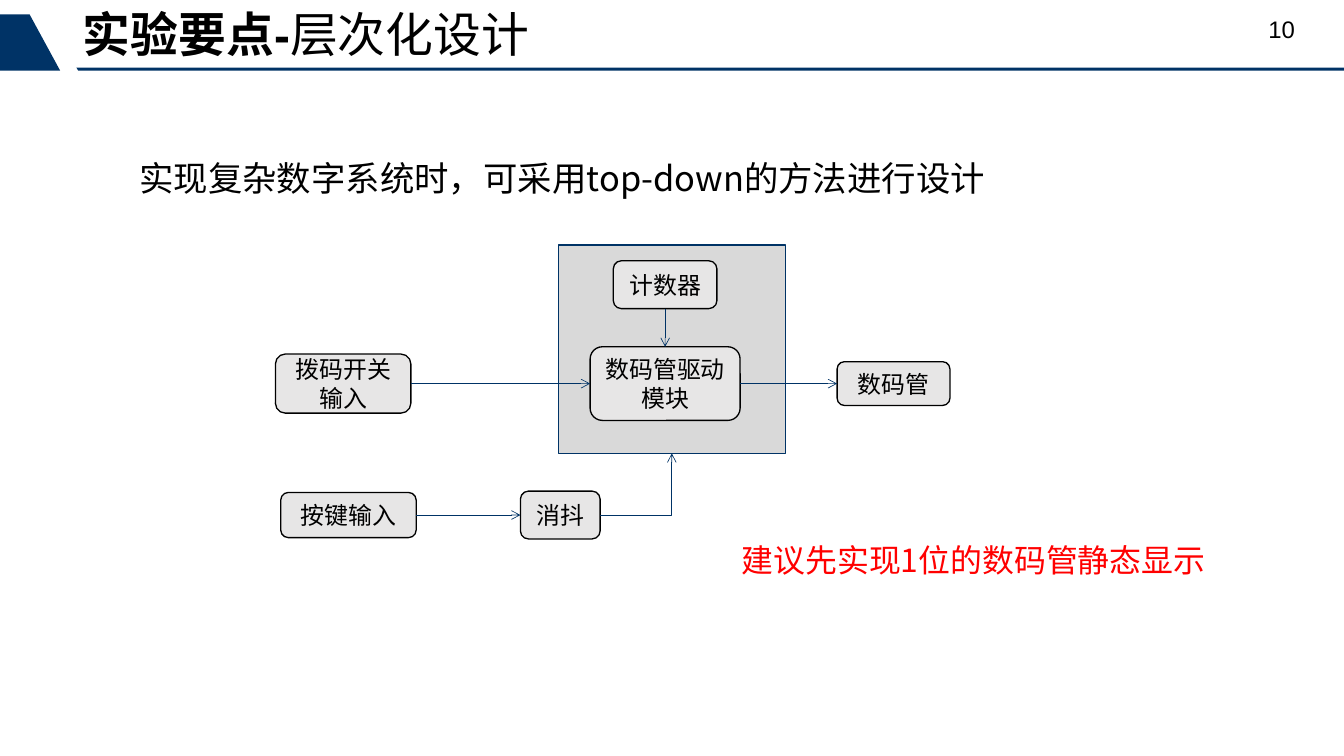
import pptx
import pptx.util
import pptx.dml.color
import pptx.enum.shapes
import pptx.enum.text
import pptx.oxml
import pptx.oxml.ns
import lxml.etree

Pt = pptx.util.Pt
SHAPES = pptx.enum.shapes.MSO_SHAPE
CONNECTORS = pptx.enum.shapes.MSO_CONNECTOR
ANCHOR = pptx.enum.text.MSO_ANCHOR
ALIGN = pptx.enum.text.PP_ALIGN
COLORS = {"navy": "003366", "panel": "D9D9D9", "node": "E7E6E6",
          "text": "000000", "hint": "FF0000"}
TOP, LEFT, BOTTOM, RIGHT = range(4)
WIDTH, HEIGHT = 1012.32, 569.52


class DiagramSlide:
    """Draws the styled elements of the hierarchical design slide."""

    latin = "Arial"
    chinese = "Noto Sans CJK SC"

    def __init__(self, slide):
        self.slide = slide
        self.shapes = slide.shapes

    def color(self, name):
        return pptx.dml.color.RGBColor.from_string(COLORS[name])

    def style_run(self, run, size, font, color="text", bold=False):
        run.font.size = Pt(size)
        run.font.name = font
        run.font.bold = bold
        run.font.color.rgb = self.color(color)
        properties = run.font._element
        east_asian = lxml.etree.SubElement(properties, pptx.oxml.ns.qn("a:ea"))
        east_asian.set("typeface", font)

    def text(self, left, top, width, height, parts, size, font,
             color="text", spacing=1.0, anchor=ANCHOR.TOP):
        box = self.shapes.add_textbox(Pt(left), Pt(top), Pt(width), Pt(height))
        frame = box.text_frame
        frame.word_wrap = True
        frame.vertical_anchor = anchor
        paragraph = frame.paragraphs[0]
        paragraph.line_spacing = spacing
        for content, bold in parts:
            run = paragraph.add_run()
            run.text = content
            self.style_run(run, size, font, color, bold)

    def polygon(self, points):
        corners = [(Pt(x), Pt(y)) for x, y in points]
        builder = self.shapes.build_freeform(*corners[0])
        builder.add_line_segments(corners[1:], close=True)
        shape = builder.convert_to_shape()
        shape.shadow.inherit = False
        shape.fill.solid()
        shape.fill.fore_color.rgb = self.color("navy")
        shape.line.fill.background()

    def block(self, preset, center_x, center_y, width, height, fill, line):
        shape = self.shapes.add_shape(
            preset, Pt(center_x - width / 2), Pt(center_y - height / 2), Pt(width), Pt(height))
        shape.shadow.inherit = False
        shape.fill.solid()
        shape.fill.fore_color.rgb = self.color(fill)
        shape.line.color.rgb = self.color(line)
        shape.line.width = Pt(1)
        return shape

    def node(self, label, center_x, center_y, width, height):
        shape = self.block(SHAPES.ROUNDED_RECTANGLE, center_x, center_y,
                           width, height, "node", "text")
        frame = shape.text_frame
        frame.text = label
        frame.word_wrap = True
        frame.vertical_anchor = ANCHOR.MIDDLE
        paragraph = frame.paragraphs[0]
        paragraph.alignment = ALIGN.CENTER
        self.style_run(paragraph.runs[0], 18, self.latin)
        return shape

    def arrow(self, source, source_side, target, target_side, bent=False):
        kind = CONNECTORS.ELBOW if bent else CONNECTORS.STRAIGHT
        connector = self.shapes.add_connector(kind, 0, 0, 0, 0)
        connector.begin_connect(source, source_side)
        connector.end_connect(target, target_side)
        connector.line.color.rgb = self.color("navy")
        connector.line.width = Pt(0.5)
        qn = pptx.oxml.ns.qn
        properties = connector._element.spPr
        if bent:
            properties.find(qn("a:prstGeom")).set("prst", "bentConnector2")
        tail = lxml.etree.SubElement(properties.find(qn("a:ln")), qn("a:tailEnd"))
        tail.set("type", "arrow")
        lxml.etree.SubElement(properties, qn("a:effectLst"))


def main():
    presentation = pptx.Presentation()
    presentation.slide_width = Pt(WIDTH)
    presentation.slide_height = Pt(HEIGHT)
    page = DiagramSlide(presentation.slides.add_slide(presentation.slide_layouts[6]))

    page.polygon([(57.6, 51), (WIDTH, 51), (WIDTH, 53.3), (59, 53.3)])
    page.polygon([(22.3, 10.8), (45.4, 53.3), (0, 53.3), (0, 10.8)])
    page.text(55.4, 5.8, 648, 44.6, [("实验要点-", True), ("层次化设计", False)],
              36, page.latin, spacing=0.9, anchor=ANCHOR.MIDDLE)
    page.text(948.2, 7.2, 51, 27.4, [("10", False)], 18, page.latin)
    page.text(97.9, 99.4, 702.7, 59.8,
              [("实现复杂数字系统时，可采用top-down的方法进行设计", False)],
              25.9, page.chinese, spacing=1.5)

    display_row, key_row = 289, 388
    driver_column = 501
    panel = page.block(SHAPES.RECTANGLE, 506, 263 + 0.1, 171, 157, "panel", "navy")
    counter = page.node("计数器", driver_column, 214.5, 78, 36)
    driver = page.node("数码管驱动模块", driver_column, display_row, 113, 55.5)
    switches = page.node("拨码开关输入", 258.5, display_row, 102, 44.5)
    display = page.node("数码管", 673, display_row, 85, 33)
    keys = page.node("按键输入", 262.5, key_row, 102, 34)
    debounce = page.node("消抖", 422, key_row, 60, 36)

    page.arrow(counter, BOTTOM, driver, TOP)
    page.arrow(switches, RIGHT, driver, LEFT)
    page.arrow(driver, RIGHT, display, LEFT)
    page.arrow(keys, RIGHT, debounce, LEFT)
    page.arrow(debounce, RIGHT, panel, BOTTOM, bent=True)

    page.text(551.5, 403.9, 365.8, 36, [("建议先实现1位的数码管静态显示", False)],
              24, page.chinese, "hint")
    presentation.save("out.pptx")


if __name__ == "__main__":
    main()
